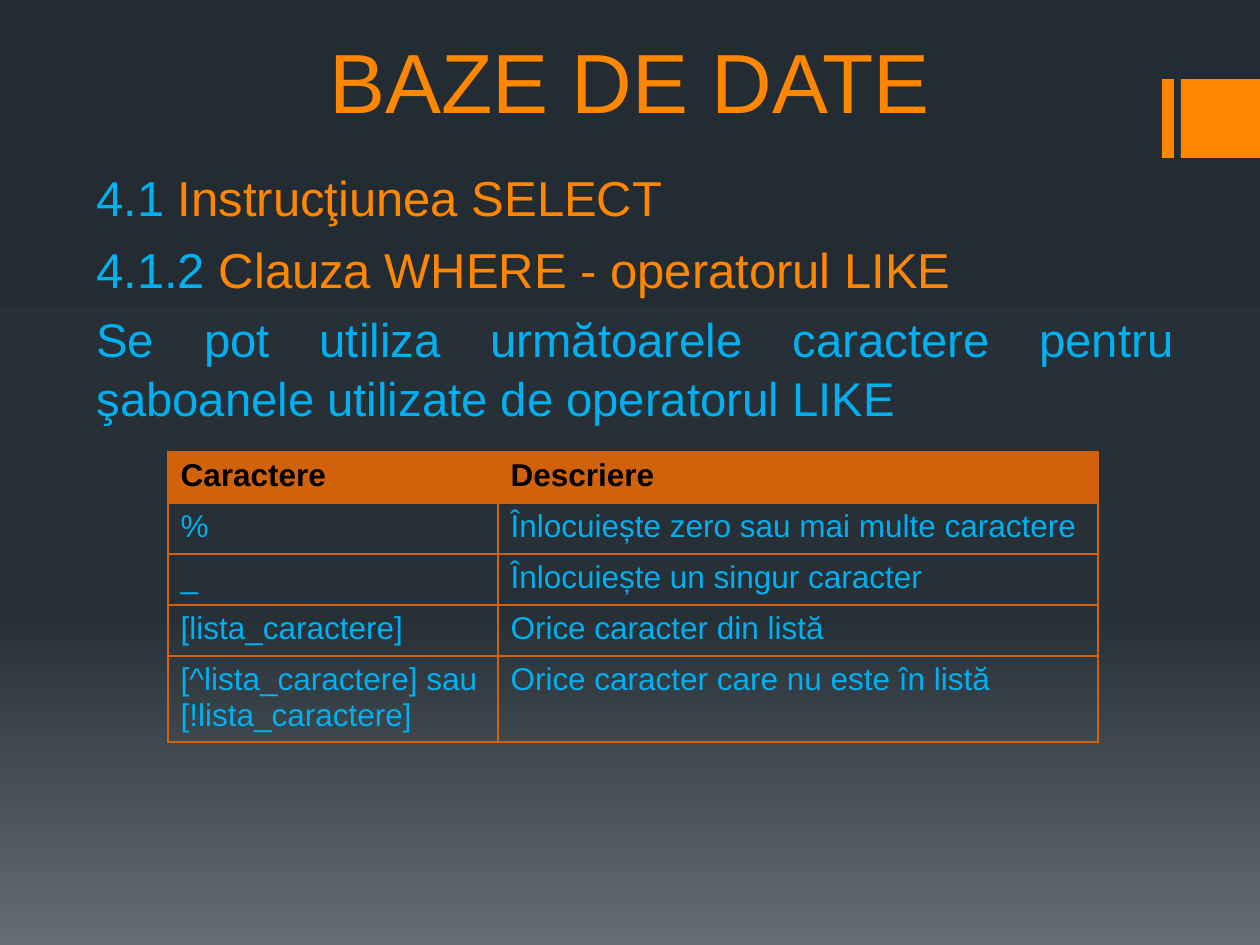
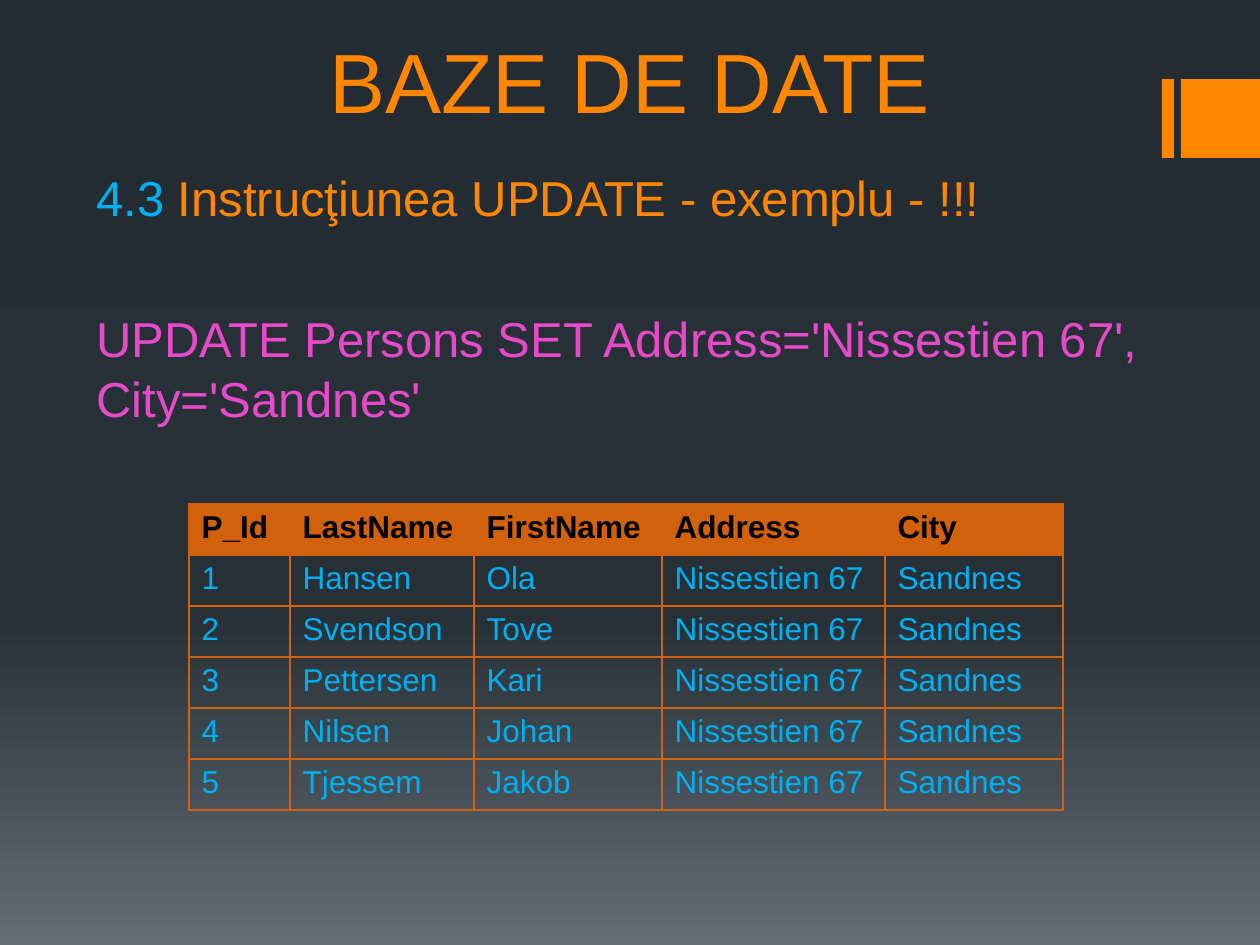
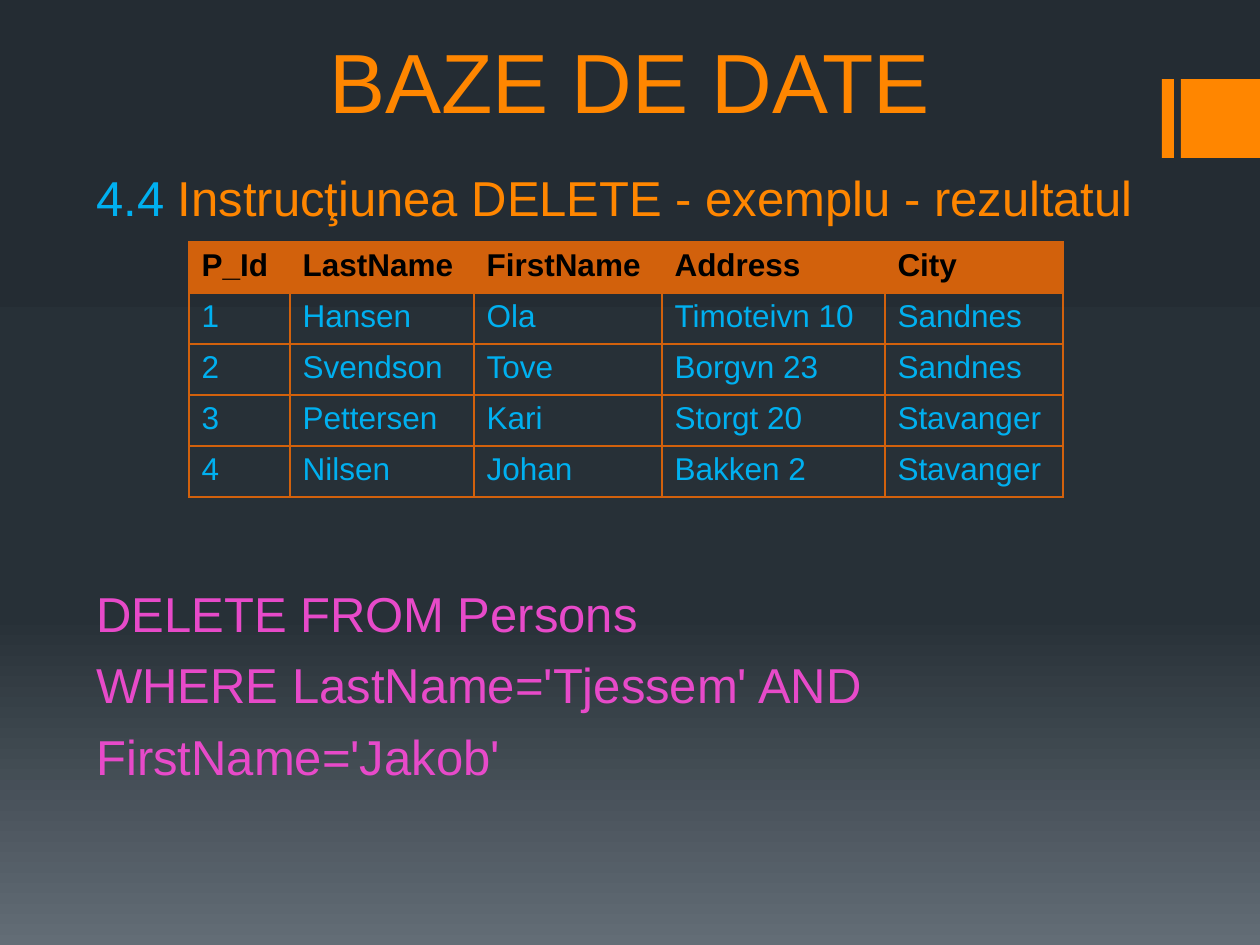
import copy

import pptx
import pptx.dml.color
import pptx.enum.shapes
import pptx.enum.text
import pptx.oxml
import pptx.oxml.ns
import pptx.util

RGB = pptx.dml.color.RGBColor
ALIGN = pptx.enum.text.PP_ALIGN
ANCHOR = pptx.enum.text.MSO_ANCHOR

# Shared look
ORANGE = RGB(0xFF, 0x86, 0x00)
BLUE = RGB(0x00, 0xB0, 0xF0)
PINK = RGB(0xE7, 0x4A, 0xC9)
RUST = RGB(0xD2, 0x61, 0x0C)
BLACK = RGB(0x00, 0x00, 0x00)
BACKDROP = [(0, RGB(0x24, 0x2C, 0x33)),
            (0.65, RGB(0x27, 0x30, 0x37)),
            (1, RGB(0x63, 0x6D, 0x76))]
FONT = "Arial"
BODY_SIZE = 28
PARA_GAP = 6.2
ROW_HEIGHT = 51
BLANK_LAYOUT = 6

# Columns and rows of the tables
PERSON_COLUMNS = [101, 184, 188, 223, 178]
PERSON_HEADER = ["P_Id", "LastName", "FirstName", "Address", "City"]
PERSONS = [("Hansen", "Ola", "Timoteivn 10", "Sandnes"),
           ("Svendson", "Tove", "Borgvn 23", "Sandnes"),
           ("Pettersen", "Kari", "Storgt 20", "Stavanger"),
           ("Nilsen", "Johan", "Bakken 2", "Stavanger"),
           ("Tjessem", "Jakob", "", "")]
WILDCARDS = [
    ["Caractere", "Descriere"],
    ["%", "Înlocuiește zero sau mai multe caractere"],
    ["_", "Înlocuiește un singur caracter"],
    ["[lista_caractere]", "Orice caracter din listă"],
    ["[^lista_caractere] sau\n[!lista_caractere]",
     "Orice caracter care nu este în listă"],
]


def px(length):
    return pptx.util.Emu(round(length * 914400 / 126))


def set_font(font, size, color, bold=False):
    font.name = FONT
    font.size = pptx.util.Pt(size)
    font.color.rgb = color
    font.bold = bold


def paint_backdrop(deck):
    """Give the master a three-stop vertical gradient."""
    fill = deck.slide_master.background.fill
    fill.gradient()
    fill.gradient_angle = 270
    stops = deck.slide_master.element.find(".//" + pptx.oxml.ns.qn("a:gsLst"))
    stops.append(copy.deepcopy(stops[0]))
    for stop, (position, color) in zip(fill.gradient_stops, BACKDROP):
        stop.position = position
        stop.color.rgb = color


def add_bar(page, left, width):
    bar = page.shapes.add_shape(pptx.enum.shapes.MSO_SHAPE.RECTANGLE,
                                px(left), px(79), px(width), px(79))
    bar.shadow.inherit = False
    bar.fill.solid()
    bar.fill.fore_color.rgb = ORANGE
    bar.line.fill.background()


def add_text_box(page, left, top, width, height, anchor=ANCHOR.TOP):
    box = page.shapes.add_textbox(px(left), px(top), px(width), px(height))
    box.text_frame.word_wrap = True
    box.text_frame.vertical_anchor = anchor
    return box.text_frame


def add_page(deck):
    """Add a page with the side bars and the course title."""
    page = deck.slides.add_slide(deck.slide_layouts[BLANK_LAYOUT])
    add_bar(page, 1162, 12)
    add_bar(page, 1181, 79)
    para = add_text_box(page, 95, 0, 1070, 137, ANCHOR.BOTTOM).paragraphs[0]
    para.text = "BAZE DE DATE"
    para.alignment = ALIGN.CENTER
    set_font(para.font, 48, ORANGE)
    return page


def add_body(page, number, heading, width=1092):
    frame = add_text_box(page, 84, 158, width, 703)
    frame.margin_top = px(8)
    add_para(frame, [(number + " ", BLUE), (heading, ORANGE)], first=True)
    return frame


def add_para(frame, spans, align=ALIGN.JUSTIFY, size=BODY_SIZE,
             gap=PARA_GAP, first=False):
    para = frame.paragraphs[0] if first else frame.add_paragraph()
    para.alignment = align
    para.line_spacing = 1.03
    if not first:
        para.space_before = pptx.util.Pt(gap)
    for text, color in spans:
        span = para.add_run()
        span.text = text
        set_font(span.font, size, color)


def add_borders(cell):
    properties = cell._tc.get_or_add_tcPr()
    for side in ("lnL", "lnR", "lnT", "lnB"):
        properties.append(pptx.oxml.parse_xml(
            f'<a:{side} {pptx.oxml.ns.nsdecls("a")} w="12700"><a:solidFill>'
            f'<a:srgbClr val="{RUST}"/></a:solidFill></a:{side}>'))


def add_grid(page, left, top, columns, rows, last_height=ROW_HEIGHT):
    heights = [ROW_HEIGHT] * (len(rows) - 1) + [last_height]
    table = page.shapes.add_table(len(rows), len(columns), px(left), px(top),
                                  px(sum(columns)), px(sum(heights))).table
    table.horz_banding = False
    for column, width in zip(table.columns, columns):
        column.width = px(width)
    for index, (row, height) in enumerate(zip(table.rows, heights)):
        row.height = px(height)
        header = index == 0
        for cell, text in zip(row.cells, rows[index]):
            cell.margin_bottom = px(4)
            add_borders(cell)
            if header:
                cell.fill.solid()
                cell.fill.fore_color.rgb = RUST
            else:
                cell.fill.background()
            cell.text = text
            for para in cell.text_frame.paragraphs:
                set_font(para.font, 18, BLACK if header else BLUE, header)


def add_persons(page, top, persons):
    rows = [[str(number), *person] for number, person in enumerate(persons, 1)]
    add_grid(page, 189, top, PERSON_COLUMNS, [PERSON_HEADER] + rows)


def add_like_page(deck):
    page = add_page(deck)
    frame = add_body(page, "4.1", "Instrucţiunea SELECT", 1102)
    add_para(frame, [("4.1.2 ", BLUE),
                     ("Clauza WHERE - operatorul LIKE", ORANGE)], ALIGN.LEFT)
    add_para(frame, [("Se pot utiliza următoarele caractere pentru "
                      "şaboanele utilizate de operatorul LIKE", BLUE)], size=27)
    add_grid(page, 168, 452, [330, 600], WILDCARDS, last_height=83)


def add_update_page(deck):
    page = add_page(deck)
    frame = add_body(page, "4.3", "Instrucţiunea UPDATE - exemplu - !!!")
    add_para(frame, [("UPDATE Persons SET Address='Nissestien 67', "
                      "City='Sandnes'", PINK)], ALIGN.LEFT, gap=45.6)
    add_persons(page, 504, [(last, first, "Nissestien 67", "Sandnes")
                            for last, first, *_ in PERSONS])


def add_delete_page(deck):
    page = add_page(deck)
    frame = add_body(page, "4.4", "Instrucţiunea DELETE - exemplu - rezultatul")
    add_para(frame, [("DELETE FROM Persons", PINK)], gap=203)
    add_para(frame, [("WHERE LastName='Tjessem' AND", PINK)])
    add_para(frame, [("FirstName='Jakob'", PINK)])
    add_persons(page, 242, PERSONS[:-1])


def main():
    deck = pptx.Presentation()
    deck.slide_width = px(1260)
    deck.slide_height = px(945)
    paint_backdrop(deck)
    add_like_page(deck)
    add_update_page(deck)
    add_delete_page(deck)
    deck.save("out.pptx")


if __name__ == "__main__":
    main()
